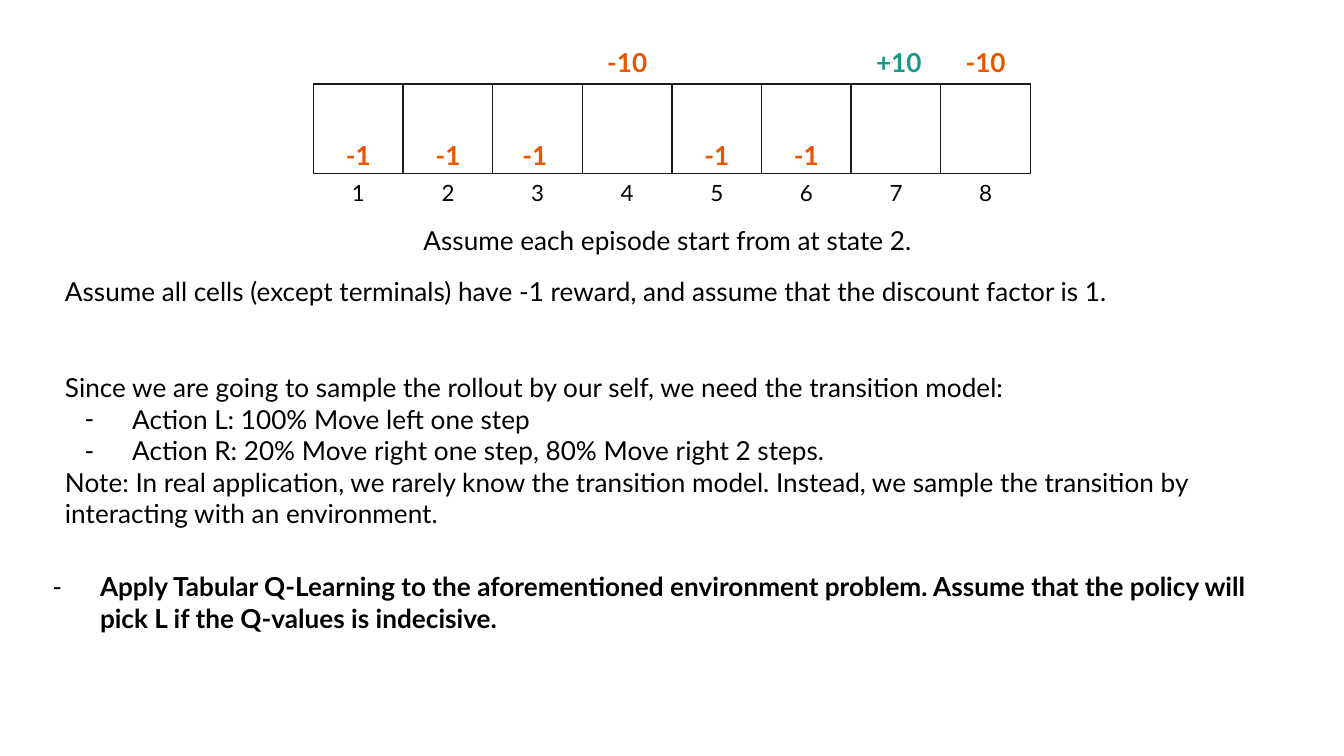
from lxml import etree
from pptx import Presentation
from pptx.dml.color import RGBColor
from pptx.enum.shapes import MSO_SHAPE
from pptx.enum.text import MSO_ANCHOR, PP_ALIGN
from pptx.oxml.ns import qn
from pptx.util import Pt

PX = 9525  # EMU per px, 96 px to the inch
RECTANGLE = MSO_SHAPE.RECTANGLE
TOP, MIDDLE = MSO_ANCHOR.TOP, MSO_ANCHOR.MIDDLE
LEFT, CENTER = PP_ALIGN.LEFT, PP_ALIGN.CENTER
BLACK, ORANGE, TEAL = "000000", "EB5600", "1A9988"
INSET = 0.1 * 96


def rgb(color):
    return RGBColor.from_string(color)


def add_text(box, lines, size=14, color=BLACK, bold=False, align=LEFT, anchor=TOP):
    """Add a text box at box (px); a line that starts with "- " becomes a bullet."""
    frame = slide.shapes.add_textbox(*(v * PX for v in box)).text_frame
    frame.word_wrap = True
    frame.vertical_anchor = anchor
    frame.margin_left = frame.margin_right = int(INSET * PX)
    frame.margin_top = frame.margin_bottom = int(INSET * PX)
    for i, line in enumerate(lines):
        paragraph = frame.add_paragraph() if i else frame.paragraphs[0]
        paragraph.alignment = align
        if line.startswith("- "):
            line = line[2:]
            properties = paragraph._p.get_or_add_pPr()
            properties.set("marL", str(48 * PX))
            properties.set("indent", str(-34 * PX))
            bullet_color = etree.SubElement(properties, qn("a:buClr"))
            etree.SubElement(bullet_color, qn("a:srgbClr"), val=BLACK)
            etree.SubElement(properties, qn("a:buFont"), typeface="Lato")
            etree.SubElement(properties, qn("a:buChar"), char="-")
        paragraph.text = line
        font = paragraph.font
        font.name, font.size, font.bold = "Lato", Pt(size), bold
        font.color.rgb = rgb(color)


prs = Presentation()
prs.slide_width, prs.slide_height = 960 * PX, 540 * PX
slide = prs.slides.add_slide(prs.slide_layouts[6])

# Row of states, numbered below
CELL, ROW_LEFT, ROW_TOP = 64, 224, 60
state_left = {state: ROW_LEFT + (state - 1) * CELL for state in range(1, 9)}
for left in state_left.values():
    cell = slide.shapes.add_shape(RECTANGLE, left * PX, ROW_TOP * PX, CELL * PX, CELL * PX)
    cell.shadow.inherit = False
    cell.fill.background()
    cell.line.color.rgb = rgb("1A1A1A")
    cell.line.width = Pt(0.75)
for state, left in state_left.items():
    add_text((left, 126, CELL, 23), [str(state)], size=12, align=CENTER, anchor=MIDDLE)

# Rewards: terminal states above the row, the others inside their cell
TERMINAL_TOP, STEP_TOP = 31, 98
rewards = [
    (4, 0, TERMINAL_TOP, "-10", ORANGE),
    (8, 0, TERMINAL_TOP, "-10", ORANGE),
    (7, 2, TERMINAL_TOP, "+10", TEAL),
    (1, 0, STEP_TOP, "-1", ORANGE),
    (2, 0, STEP_TOP, "-1", ORANGE),
    (3, -2, STEP_TOP, "-1", ORANGE),
    (5, 0, STEP_TOP, "-1", ORANGE),
    (6, 0, STEP_TOP, "-1", ORANGE),
]
for state, shift, top, reward, color in rewards:
    add_text((state_left[state] + shift, top, CELL, 26), [reward],
             color=color, bold=True, align=CENTER, anchor=MIDDLE)

# Assumptions, transition model and task
add_text((293, 151, 374, 47), ["Assume each episode start from at state 2."])
add_text((37, 187, 886, 42), [
    "Assume all cells (except terminals) have -1 reward, "
    "and assume that the discount factor is 1.",
])
add_text((37, 256, 886, 115), [
    "Since we are going to sample the rollout by our self, we need the transition model:",
    "- Action L: 100% Move left one step",
    "- Action R: 20% Move right one step, 80% Move right 2 steps.",
    "Note: In real application, we rarely know the transition model. "
    "Instead, we sample the transition by interacting with an environment.",
])
add_text((14, 398, 910, 64), [
    "- Apply Tabular Q-Learning to the aforementioned environment problem. "
    "Assume that the policy will pick L if the Q-values is indecisive.",
], bold=True)

prs.save("out.pptx")
